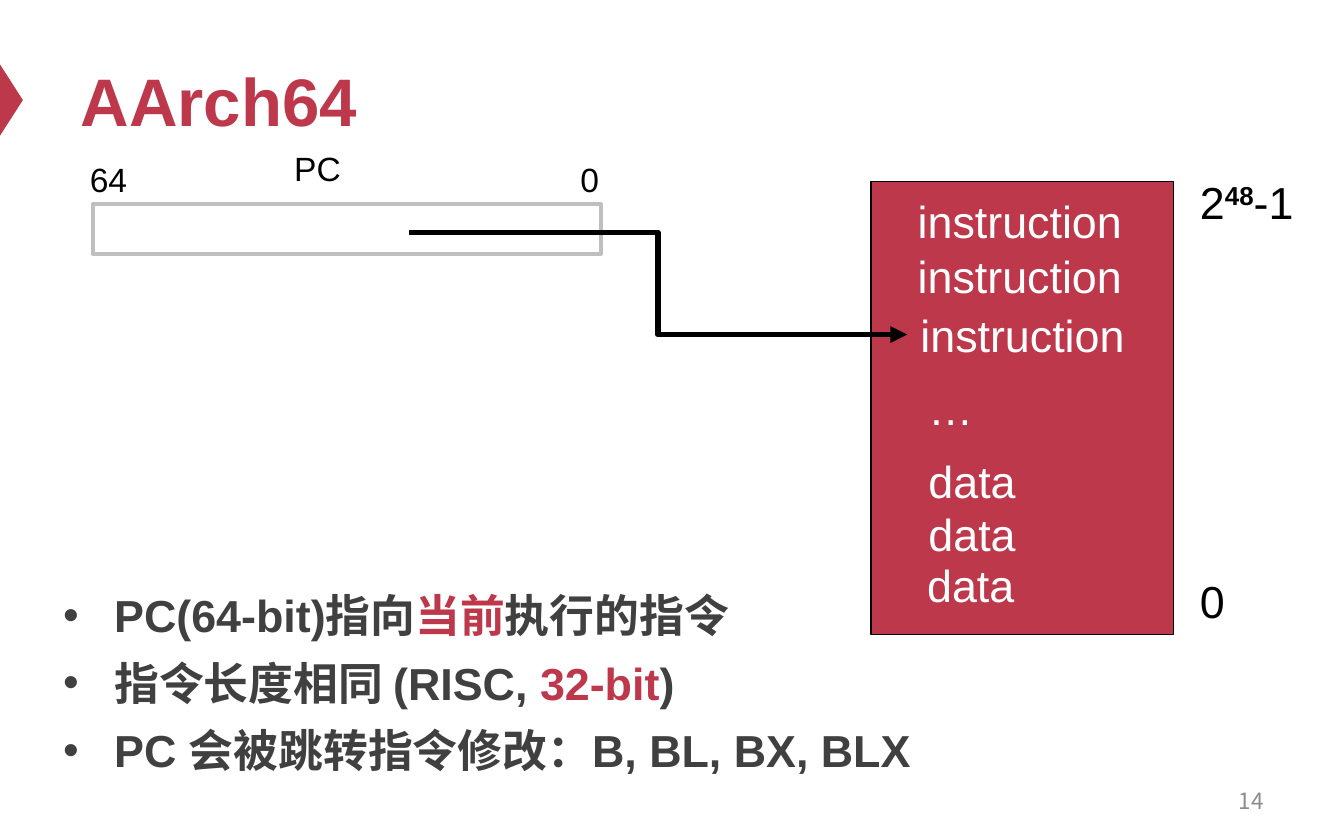
from lxml import etree
from pptx import Presentation
from pptx.dml.color import RGBColor
from pptx.enum.shapes import MSO_CONNECTOR, MSO_SHAPE
from pptx.enum.text import MSO_ANCHOR, MSO_AUTO_SIZE, PP_ALIGN
from pptx.oxml.ns import qn
from pptx.util import Pt

RECT, TRIANGLE = MSO_SHAPE.RECTANGLE, MSO_SHAPE.ISOSCELES_TRIANGLE
ELBOW = MSO_CONNECTOR.ELBOW
LEFT, RIGHT = PP_ALIGN.LEFT, PP_ALIGN.RIGHT
TOP, MIDDLE = MSO_ANCHOR.TOP, MSO_ANCHOR.MIDDLE
NO_FIT = MSO_AUTO_SIZE.NONE

PX = 9144  # 100 px to the inch
COLORS = {"red": "BE384B", "black": "000000", "white": "FFFFFF",
          "text": "404040", "border": "BFBFBF", "number": "8C8C8C"}
LATIN, CJK = "Arial", "Noto Sans CJK SC"


def px(*values):
    return [v * PX for v in values]


def rgb(name):
    return RGBColor.from_string(COLORS[name])


def add_run(p, text, size, color, bold=False, font=LATIN):
    r = p.add_run()
    r.text = text
    r.font.name, r.font.size, r.font.bold = font, Pt(size), bold
    r.font.color.rgb = rgb(color)
    ea = etree.Element(qn("a:ea"), typeface=CJK)
    r.font._element.find(qn("a:latin")).addnext(ea)
    return r


def add_label(slide, x, y, w, h, text, size, color="black", wrap=False):
    sp = slide.shapes.add_textbox(*px(x, y, w, h))
    sp.text_frame.word_wrap = wrap
    add_run(sp.text_frame.paragraphs[0], text, size, color)
    return sp


def add_block(slide, kind, x, y, w, h, fill, line=None, width=0):
    sp = slide.shapes.add_shape(kind, *px(x, y, w, h))
    sp.shadow.inherit = False
    sp.fill.solid()
    sp.fill.fore_color.rgb = rgb(fill)
    if line:
        sp.line.color.rgb = rgb(line)
        sp.line.width = Pt(width)
    else:
        sp.line.fill.background()
    return sp


def place(sp, x, y, w, h, anchor):
    sp.left, sp.top, sp.width, sp.height = px(x, y, w, h)
    tf = sp.text_frame
    tf.auto_size, tf.word_wrap, tf.vertical_anchor = NO_FIT, True, anchor
    return tf


def draw_header(slide, x, y, w, h):
    marker = add_block(slide, TRIANGLE, -18, y + 41, 53, 17, "red")
    marker.rotation = 90
    p = place(slide.shapes.title, x, y, w, h, MIDDLE).paragraphs[0]
    p.alignment = LEFT
    add_run(p, "AArch64", 36, "red", bold=True)


def draw_register(slide, x, y, w, h):
    add_block(slide, RECT, x, y, w, h, "white", "border", 2)
    for dx, dy, width, text in [(-12, -39, 57, "64"), (140, -47, 71, "PC"),
                                (353, -39, 34, "0")]:
        add_label(slide, x + dx, y + dy, width, 40, text, 18, wrap=True)


def draw_memory(slide, x, y, w, h):
    """Draw the address space and return its current instruction."""
    add_block(slide, RECT, x, y, w, h, "red", "black", 0.75)
    cells = [("instruction", 25, 4, 172), ("instruction", 25, 45, 172),
             ("instruction", 27, 89, 172), ("…", 33, 143, 54),
             ("data", 33, 198, 85), ("data", 33, 237, 85),
             ("data", 32, 275, 85)]
    labels = [add_label(slide, x + dx, y + dy, width, 50, text, 24, "white")
              for text, dx, dy, width in cells]

    # Highest and lowest address
    top = add_label(slide, x + w + 10, y - 10, 94, 50, "2", 24)
    p = top.text_frame.paragraphs[0]
    power = add_run(p, "48", 24, "black", bold=True)
    power.font._element.set("baseline", "30000")
    add_run(p, "-1", 24, "black")
    add_label(slide, x + w + 10, y + h - 50, 39, 50, "0", 24)
    return labels[2]


def draw_pointer(slide, x, y, target):
    cxn = slide.shapes.add_connector(ELBOW, *px(x, y), target.left,
                                     target.top + target.height // 2)
    cxn.end_connect(target, 1)
    cxn.line.color.rgb = rgb("black")
    cxn.line.width = Pt(3)
    etree.SubElement(cxn.line._get_or_add_ln(), qn("a:tailEnd"), type="triangle")
    etree.SubElement(cxn._element.spPr, qn("a:effectLst"))


def draw_bullets(slide, x, y, w, h):
    points = [
        [("PC(64-bit)指向", "text"), ("当前", "red"), ("执行的指令", "text")],
        [("指令长度相同 (RISC, ", "text"), ("32-bit", "red"), (")", "text")],
        [("PC 会被跳转指令修改：B, BL, BX, BLX", "text")],
    ]
    tf = place(slide.placeholders[1], x, y, w, h, TOP)
    for i, runs in enumerate(points):
        p = tf.add_paragraph() if i else tf.paragraphs[0]
        pPr = p._p.get_or_add_pPr()
        pPr.set("marL", str(38 * PX))
        pPr.set("indent", str(-38 * PX))
        etree.SubElement(pPr, qn("a:buChar"), char="•")
        p.space_before = Pt(12 if i else 0)
        p.line_spacing = 0.84
        for text, color in runs:
            add_run(p, text, 24, color, bold=True)


def draw_page_number(slide, x, y, w, h):
    sp = slide.shapes.add_textbox(*px(x, y, w, h))
    p = place(sp, x, y, w, h, MIDDLE).paragraphs[0]
    p.alignment = RIGHT
    add_run(p, "14", 12, "number", font=CJK)


def main():
    prs = Presentation()
    prs.slide_width, prs.slide_height = px(1000, 625)
    slide = prs.slides.add_slide(prs.slide_layouts[1])
    draw_header(slide, 50, 25, 900, 98)
    draw_register(slide, 69, 152, 378, 37)
    current = draw_memory(slide, 648, 135, 225, 337)
    draw_pointer(slide, 304, 173, current)
    draw_bullets(slide, 37, 439, 961, 167)
    draw_page_number(slide, 717, 579, 233, 33)
    prs.save("out.pptx")


if __name__ == "__main__":
    main()
